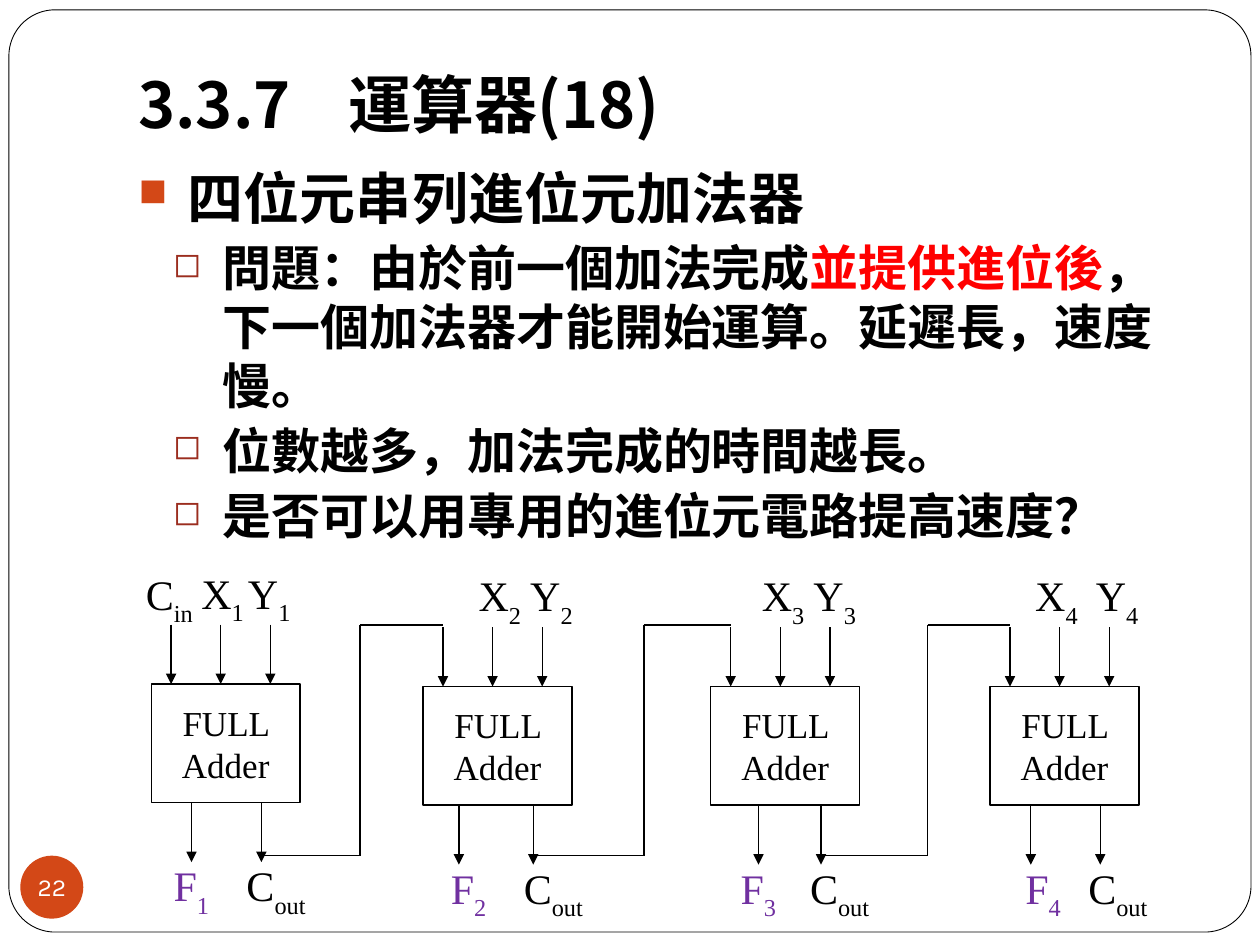
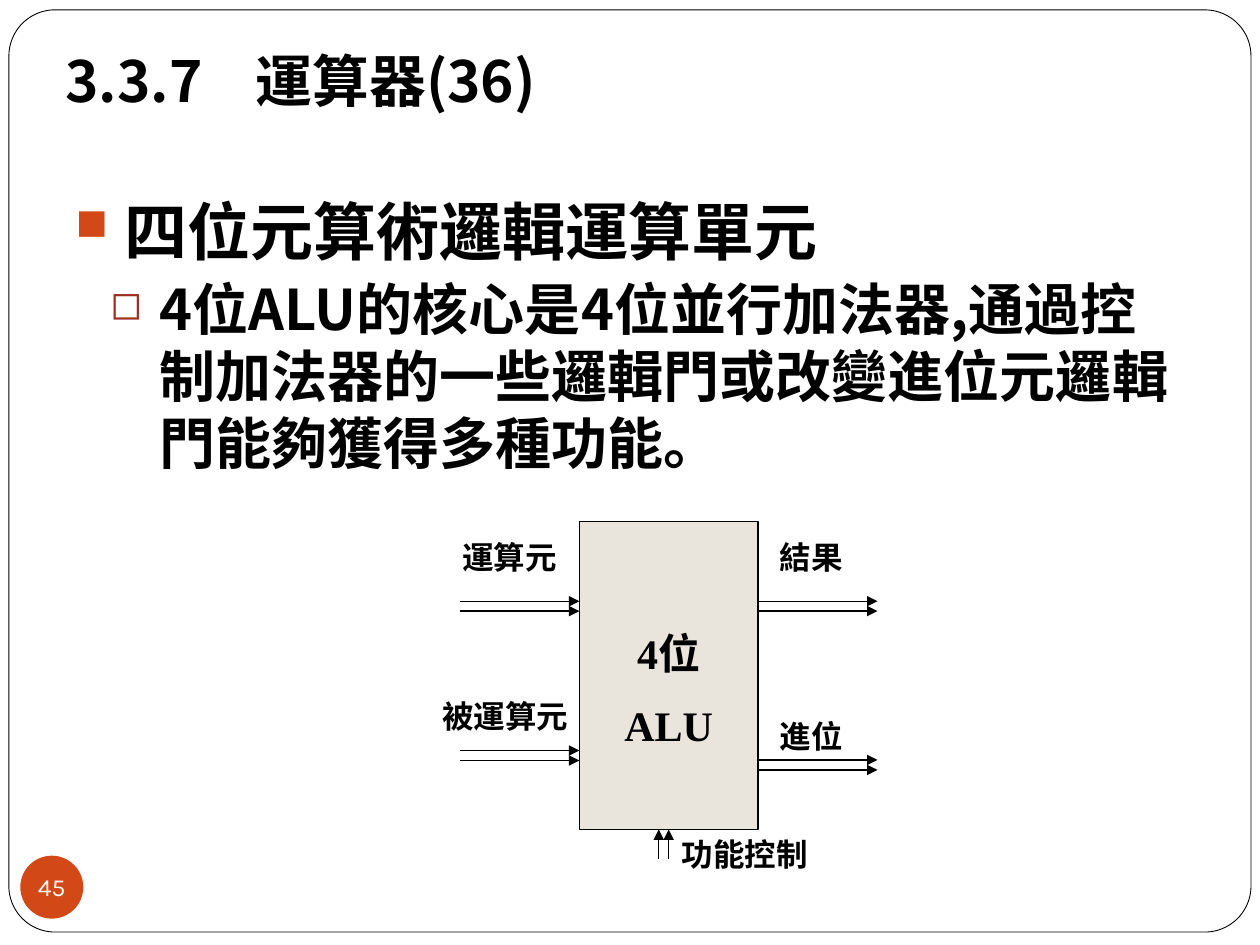
from itertools import pairwise

from lxml import etree
from pptx import Presentation
from pptx.dml.color import RGBColor
from pptx.enum import shapes, text
from pptx.oxml import ns
from pptx.util import Cm, Pt

COLORS = {"black": "000000", "white": "FFFFFF", "orange": "D34817", "brown": "9B2D1F",
          "red": "FF0000", "purple": "7030A0", "beige": "E9E5DC"}
SANS, SERIF, BADGE_FONT = "Noto Sans CJK SC", "Times New Roman", "Karla"
LINE_HEIGHT = 1.2
# Per outline level: bullet, bullet colour, left indent (cm), space before (pt)
LEVELS = [("■", "orange", 1.0, 5.8), ("◻", "brown", 1.7, 3.7)]


def add_run(paragraph, words, size, color="black", font=SERIF, bold=False, baseline=0):
    run = paragraph.add_run()
    run.text = words
    run.font.size = Pt(size)
    run.font.bold = bold
    run.font.name = font
    run.font.color.rgb = RGBColor.from_string(COLORS[color])
    properties = run.font._element
    east_asian = etree.Element(ns.qn("a:ea"), typeface=SANS)
    properties.find(ns.qn("a:latin")).addnext(east_asian)
    if baseline:
        properties.set("baseline", str(baseline * 1000))


def add_line(slide, start, end, arrow=True):
    """Draw a thin black line between two (x, y) points in cm."""
    line = slide.shapes.add_connector(shapes.MSO_CONNECTOR.STRAIGHT,
                                      *(Cm(value) for value in (*start, *end)))
    line.line.color.rgb = RGBColor.from_string(COLORS["black"])
    line.line.width = Pt(0.75)
    if arrow:
        etree.SubElement(line.line._get_or_add_ln(), ns.qn("a:tailEnd"), type="triangle")
    etree.SubElement(line._element.spPr, ns.qn("a:effectLst"))
    return line


presentation = Presentation()
presentation.slide_width, presentation.slide_height = Cm(25.4), Cm(19.05)

# Frame, title, page badge and outline of every slide
pages = [
    {"number": "22", "title": "3.3.7\t運算器(18)", "title_size": 36, "tab": 4.24,
     "title_box": (2.54, -0.08, 21.59, 3.18), "body_box": (2.54, 3.18, 21.59, 12.7),
     "outline": [
         (0, 32, [("四位元串列進位元加法器", "black")]),
         (1, 28, [("問題：由於前一個加法完成", "black"), ("並提供進位後", "red"),
                  ("，下一個加法器才能開始運算。延遲長，速度慢。", "black")]),
         (1, 28, [("位數越多，加法完成的時間越長。", "black")]),
         (1, 28, [("是否可以用專用的進位元電路提高速度？", "black")])]},
    {"number": "45", "title": "3.3.7\t運算器(36)", "title_size": 32.4, "tab": 3.84,
     "title_box": (1.07, 0.84, 24.13, 1.7), "body_box": (1.27, 3.75, 22.86, 11.6),
     "outline": [
         (0, 36, [("四位元算術邏輯運算單元", "black")]),
         (1, 32, [("4位ALU的核心是4位並行加法器,通過控制加法器的一些邏輯門或改變進位元邏輯門"
                   "能夠獲得多種功能。", "black")])]},
]
slides = []
for page in pages:
    slide = presentation.slides.add_slide(presentation.slide_layouts[6])
    slides.append(slide)

    border = slide.shapes.add_shape(shapes.MSO_SHAPE.ROUNDED_RECTANGLE,
                                    Cm(0.18), Cm(0.2), Cm(25.04), Cm(18.59))
    border.adjustments[0] = 0.05
    border.shadow.inherit = False
    border.fill.solid()
    border.fill.fore_color.rgb = RGBColor.from_string(COLORS["white"])
    border.line.color.rgb = RGBColor.from_string(COLORS["black"])
    border.line.width = Pt(0.5)

    title = slide.shapes.add_textbox(*(Cm(value) for value in page["title_box"])).text_frame
    title.word_wrap = True
    title.vertical_anchor = text.MSO_ANCHOR.BOTTOM
    title.margin_bottom = Cm(0.25)
    paragraph = title.paragraphs[0]
    paragraph.line_spacing = Pt(round(page["title_size"] * LINE_HEIGHT, 1))
    tabs = etree.SubElement(paragraph._p.get_or_add_pPr(), ns.qn("a:tabLst"))
    etree.SubElement(tabs, ns.qn("a:tab"), pos=str(Cm(page["tab"])), algn="l")
    add_run(paragraph, page["title"], page["title_size"], font=SANS, bold=True)

    badge = slide.shapes.add_shape(shapes.MSO_SHAPE.OVAL, Cm(0.41), Cm(17.25), Cm(1.27), Cm(1.27))
    badge.shadow.inherit = False
    badge.fill.solid()
    badge.fill.fore_color.rgb = RGBColor.from_string(COLORS["orange"])
    badge.line.fill.background()
    frame = badge.text_frame
    frame.margin_left = frame.margin_right = frame.margin_top = frame.margin_bottom = 0
    frame.word_wrap = False
    frame.vertical_anchor = text.MSO_ANCHOR.MIDDLE
    frame.paragraphs[0].alignment = text.PP_ALIGN.CENTER
    add_run(frame.paragraphs[0], page["number"], 14, "white", BADGE_FONT)

    body = slide.shapes.add_textbox(*(Cm(value) for value in page["body_box"])).text_frame
    body.word_wrap = True
    for index, (level, size, runs) in enumerate(page["outline"]):
        bullet, bullet_color, indent, space = LEVELS[level]
        paragraph = body.add_paragraph() if index else body.paragraphs[0]
        paragraph.level = level
        paragraph.line_spacing = Pt(round(size * LINE_HEIGHT, 1))
        if index:
            paragraph.space_before = Pt(space)
        properties = paragraph._p.get_or_add_pPr()
        properties.set("marL", str(Cm(indent)))
        properties.set("indent", str(Cm(-1)))
        bullet_fill = etree.SubElement(properties, ns.qn("a:buClr"))
        etree.SubElement(bullet_fill, ns.qn("a:srgbClr"), val=COLORS[bullet_color])
        etree.SubElement(properties, ns.qn("a:buSzPct"), val="70000")
        etree.SubElement(properties, ns.qn("a:buChar"), char=bullet)
        for words, color in runs:
            add_run(paragraph, words, size, color, SANS, True)

adder_slide, alu_slide = slides

# Four full adders; horizontal places in cm
adder_width, adder_height, arrow_length = 3.0, 2.39, 1.2
carry_offset = 2.22
stages = [
    # box left, box top, X label, Y label, F label, F arrow, Cout label
    (3.05, 13.79, 3.81, 4.75, 3.25, 3.86, 4.72),
    (8.53, 13.84, 9.40, 10.44, 8.84, 9.25, 10.31),
    (14.33, 13.84, 15.11, 16.15, 14.68, 15.29, 16.08),
    (19.96, 13.84, 20.62, 21.84, 20.42, 20.78, 21.69),
]
signals = [("C", "in", 2.69, 11.4, 1.63, "black")]
for number, (left, top, x_left, y_left, f_left, f_arrow, carry_left) in enumerate(stages, 1):
    bottom = top + adder_height
    adder = adder_slide.shapes.add_shape(shapes.MSO_SHAPE.RECTANGLE, Cm(left), Cm(top),
                                         Cm(adder_width), Cm(adder_height))
    adder.shadow.inherit = False
    adder.fill.background()
    adder.line.color.rgb = RGBColor.from_string(COLORS["black"])
    adder.line.width = Pt(0.75)
    adder.text_frame.word_wrap = True
    adder.text_frame.vertical_anchor = text.MSO_ANCHOR.MIDDLE
    adder.text_frame.paragraphs[0].alignment = text.PP_ALIGN.CENTER
    add_run(adder.text_frame.paragraphs[0], "FULL Adder", 20)

    for input_x in (left + 0.4, left + 1.4, left + 2.4):
        add_line(adder_slide, (input_x, top - arrow_length), (input_x, top))
    for output_x in (f_arrow, left + carry_offset):
        add_line(adder_slide, (output_x, bottom), (output_x, bottom + arrow_length))

    signals += [("X", str(number), x_left, top - 2.41, 1.63, "black"),
                ("Y", str(number), y_left, top - 2.41, 1.63, "black"),
                ("F", str(number), f_left, top + 3.49, 1.5, "purple"),
                ("C", "out", carry_left, top + 3.49, 2.2, "black")]

for letter, subscript, left, top, width, color in signals:
    frame = adder_slide.shapes.add_textbox(Cm(left), Cm(top), Cm(width), Cm(1.3)).text_frame
    frame.word_wrap = True
    frame.margin_right = 0
    frame.vertical_anchor = text.MSO_ANCHOR.MIDDLE
    add_run(frame.paragraphs[0], letter, 24, color)
    add_run(frame.paragraphs[0], subscript, 24, color, baseline=-30)

# Carry wires from each adder to the next
wire_low, wire_high = 17.25, 12.6
for index, (stage, next_stage) in enumerate(pairwise(stages)):
    riser = 7.26 + 5.72 * index
    corners = [(stage[0] + carry_offset, wire_low), (riser, wire_low),
               (riser, wire_high), (next_stage[0] + 0.4, wire_high)]
    for start, end in pairwise(corners):
        add_line(adder_slide, start, end, arrow=False)

# ALU block with paired arrows
alu_left, alu_top, alu_width, alu_height = 11.68, 10.52, 3.6, 6.2
alu_right, alu_bottom = alu_left + alu_width, alu_top + alu_height
alu = alu_slide.shapes.add_shape(shapes.MSO_SHAPE.RECTANGLE, Cm(alu_left), Cm(alu_top),
                                 Cm(alu_width), Cm(alu_height))
alu.shadow.inherit = False
alu.fill.solid()
alu.fill.fore_color.rgb = RGBColor.from_string(COLORS["beige"])
alu.line.color.rgb = RGBColor.from_string(COLORS["black"])
alu.line.width = Pt(0.75)
frame = alu.text_frame
frame.margin_top = Cm(0.65)
frame.vertical_anchor = text.MSO_ANCHOR.MIDDLE
for index, words in enumerate(("4位", "ALU")):
    paragraph = frame.add_paragraph() if index else frame.paragraphs[0]
    paragraph.alignment = text.PP_ALIGN.CENTER
    if index:
        paragraph.space_before = Pt(12)
    add_run(paragraph, words, 24, bold=True)

pair_gap, bus_length = 0.2, 2.41
for start_x, first_y in ((alu_left - bus_length, 12.12), (alu_left - bus_length, 15.13),
                         (alu_right, 12.12), (alu_right, 15.32)):
    for y in (first_y, first_y + pair_gap):
        add_line(alu_slide, (start_x, y), (start_x + bus_length, y))
control_x = alu_left + alu_width / 2
add_line(alu_slide, (control_x - pair_gap, 17.32), (control_x - pair_gap, alu_bottom))
control = add_line(alu_slide, (control_x, 17.32), (control_x, alu_bottom))
control.end_connect(alu, 2)

for words, left, top, width in (("運算元", 9.07, 10.72, 2.79), ("被運算元", 8.67, 13.92, 3.2),
                                ("結果", 15.47, 10.72, 2.49), ("進位", 15.47, 14.33, 1.8),
                                ("功能控制", 13.49, 16.71, 4.29)):
    frame = alu_slide.shapes.add_textbox(Cm(left), Cm(top), Cm(width), Cm(1.02)).text_frame
    frame.word_wrap = True
    frame.vertical_anchor = text.MSO_ANCHOR.MIDDLE
    add_run(frame.paragraphs[0], words, 18, bold=True)

presentation.save("out.pptx")
